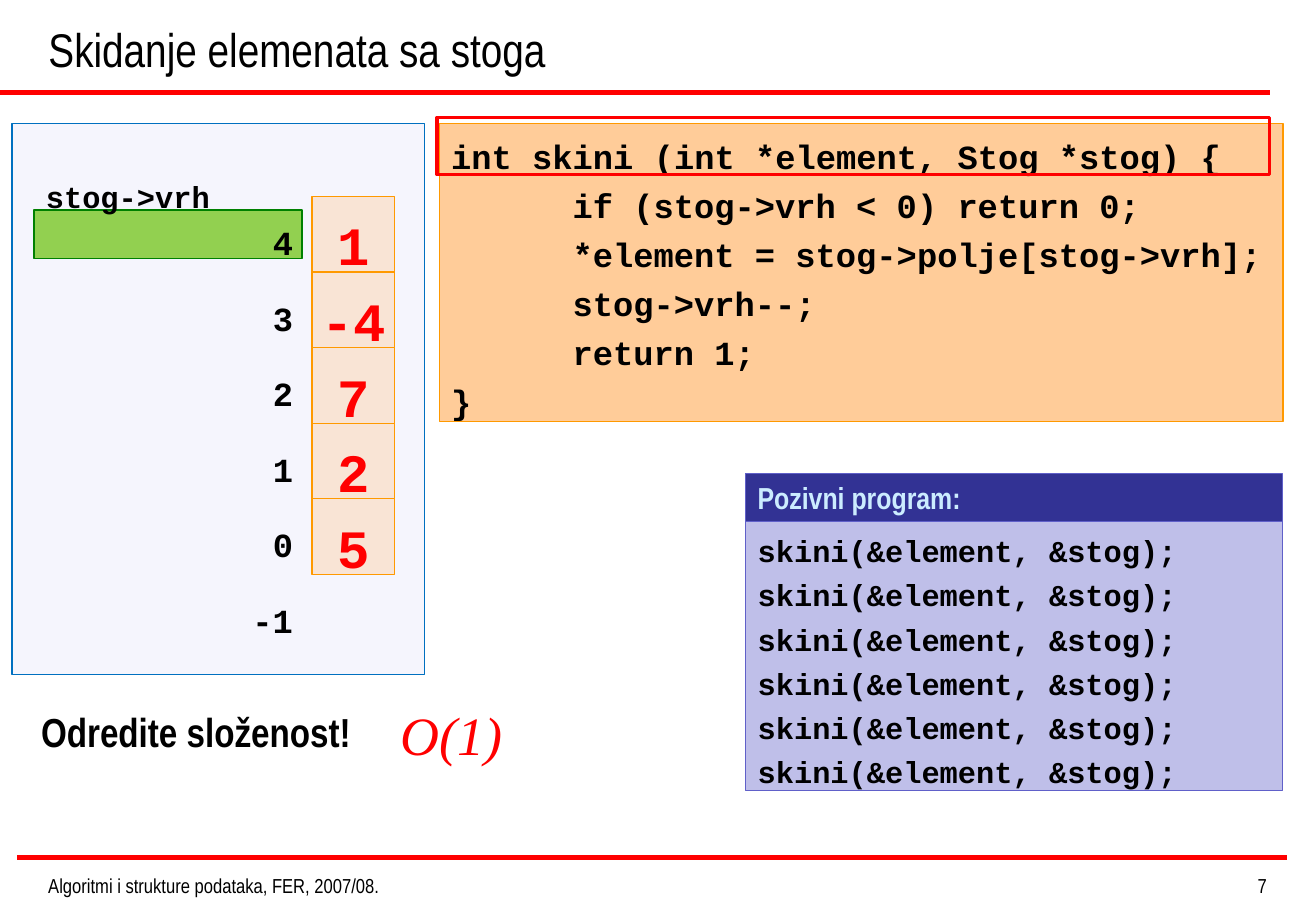
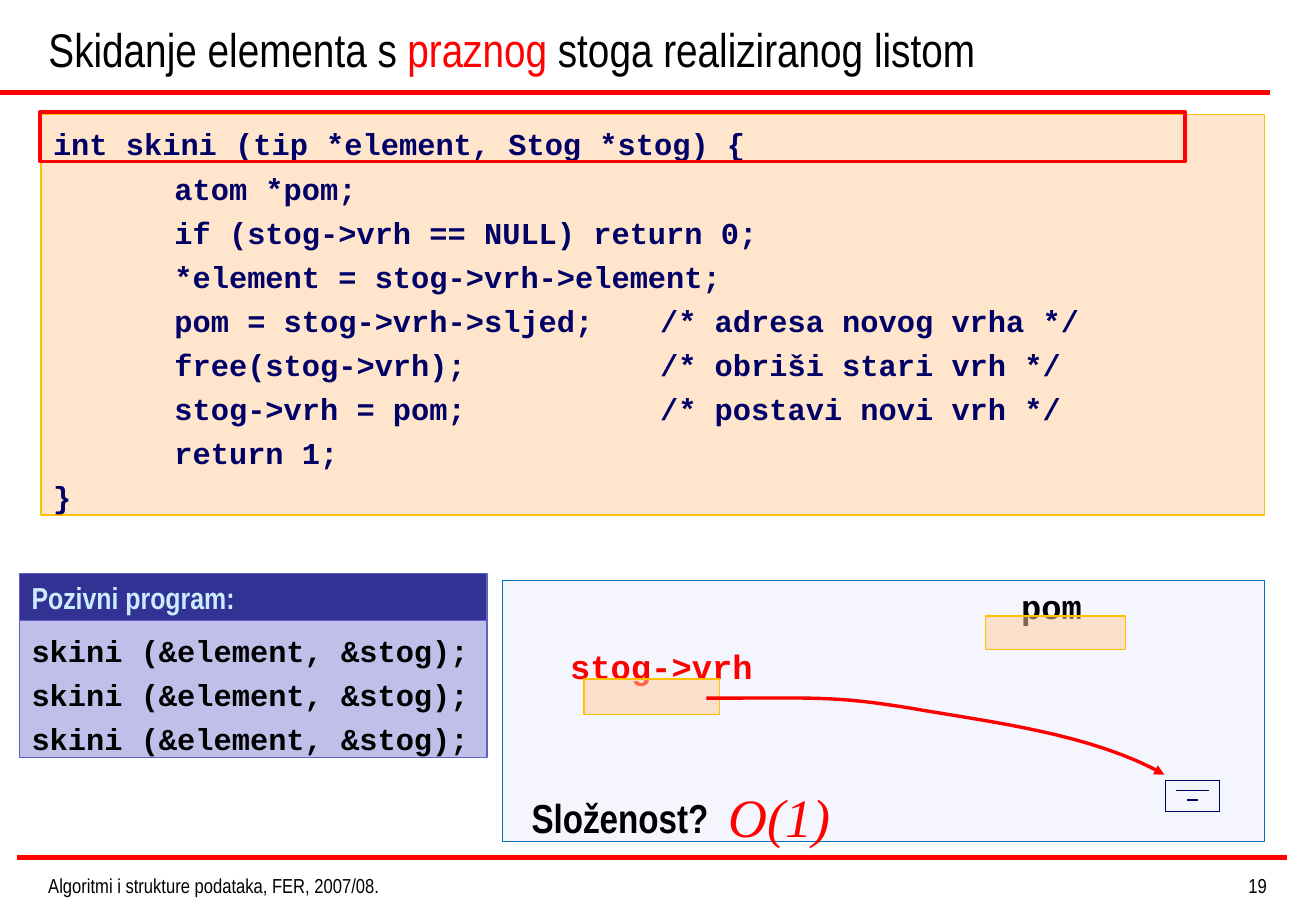
import pptx
import pptx.dml.color
import pptx.enum.shapes
import pptx.enum.text
import pptx.oxml.ns
import pptx.util
from lxml import etree

Cm = pptx.util.Cm
Pt = pptx.util.Pt
RGBColor = pptx.dml.color.RGBColor
ALIGN = pptx.enum.text.PP_ALIGN
ANCHOR = pptx.enum.text.MSO_ANCHOR
qn = pptx.oxml.ns.qn

BLACK = RGBColor(0x00, 0x00, 0x00)
RED = RGBColor(0xFF, 0x00, 0x00)
NAVY = RGBColor(0x00, 0x00, 0x66)
PEACH = RGBColor(0xFF, 0xCC, 0x99)
ORANGE = RGBColor(0xFF, 0x99, 0x00)
GOLD = RGBColor(0xFF, 0xC0, 0x00)
INDIGO = RGBColor(0x32, 0x32, 0x94)
VIOLET = RGBColor(0x60, 0x60, 0xC9)
PALE_CYAN = RGBColor(0xCC, 0xEC, 0xFF)
LAVENDER = RGBColor(0xE8, 0xE8, 0xFA)
BLUE = RGBColor(0x00, 0x70, 0xC0)
LIME = RGBColor(0x92, 0xD0, 0x50)
GREEN = RGBColor(0x00, 0x80, 0x00)

SANS = "Arial Narrow"
MONO = "Courier New"
SERIF = "Times New Roman"
TITLE_ONLY = 5
ROW = 1.58
FOOTER = "Algoritmi i strukture podataka, FER, 2007/08."

ARRAY_CODE = """int skini (int *element, Stog *stog) {
\tif (stog->vrh < 0) return 0;
\t*element = stog->polje[stog->vrh];
\tstog->vrh--;
\treturn 1;
}"""

LIST_CODE = """int skini (tip *element, Stog *stog) {
\tatom *pom;
\tif (stog->vrh == NULL) return 0;
\t*element = stog->vrh->element;
\tpom = stog->vrh->sljed;\t/* adresa novog vrha */
\tfree(stog->vrh);\t\t/* obriši stari vrh */
\tstog->vrh = pom;\t\t/* postavi novi vrh */
\treturn 1;
}"""


def lengths(values):
    return [Cm(value) for value in values]


def add_run(paragraph, text, font=SANS, size=18, color=BLACK, bold=False, italic=False):
    run = paragraph.add_run()
    run.text = text
    run.font.name = font
    run.font.size = Pt(size)
    run.font.color.rgb = color
    run.font.bold = bold
    run.font.italic = italic


def add_tab_stops(paragraph):
    properties = paragraph._p.get_or_add_pPr()
    tabs = etree.SubElement(properties, qn("a:tabLst"))
    for inch in range(1, 8):
        etree.SubElement(tabs, qn("a:tab"), pos=str(Cm(2.54 * inch)), algn="l")


def write(shape, text, font=SANS, size=18, align=ALIGN.LEFT, anchor=ANCHOR.TOP,
          lift=0.1, side=0.25, **style):
    mono = font == MONO
    frame = shape.text_frame
    frame.word_wrap = True
    frame.vertical_anchor = anchor
    frame.margin_left = frame.margin_right = Cm(side)
    frame.margin_top = Cm(0.13) + Pt(size * (0.17 if mono else lift))
    frame.margin_bottom = Cm(0.13)
    for index, line in enumerate(text.split("\n")):
        paragraph = frame.add_paragraph() if index else frame.paragraphs[0]
        if "\t" in line:
            add_tab_stops(paragraph)
        paragraph.alignment = align
        if mono:
            paragraph.line_spacing = Pt(1.2 * size)
        if index:
            paragraph.space_before = Pt(size / 4)
        add_run(paragraph, line, font, size, **style)


def add_text(slide, place, text, **style):
    write(slide.shapes.add_textbox(*lengths(place)), text, **style)


def add_box(slide, place, line, fill=None, opacity=100, width=0.75):
    rectangle = pptx.enum.shapes.MSO_SHAPE.RECTANGLE
    shape = slide.shapes.add_shape(rectangle, *lengths(place))
    shape.shadow.inherit = False
    shape.line.color.rgb = line
    shape.line.width = Pt(width)
    if fill is None:
        shape.fill.background()
        return shape
    shape.fill.solid()
    shape.fill.fore_color.rgb = fill
    if opacity < 100:
        color = shape.element.spPr.find(qn("a:solidFill"))[0]
        etree.SubElement(color, qn("a:alpha"), val=str(opacity * 1000))
    return shape


def add_line(slide, start_x, end_x, y, color, width):
    straight = pptx.enum.shapes.MSO_CONNECTOR.STRAIGHT
    line = slide.shapes.add_connector(straight, *lengths((start_x, y, end_x, y)))
    line.line.color.rgb = color
    line.line.width = Pt(width)
    etree.SubElement(line.element.spPr, qn("a:effectLst"))


def bezier_points(start, first, second, end, steps=16):
    for step in range(1, steps + 1):
        t = step / steps
        u = 1 - t
        yield tuple(
            Cm(u**3 * a + 3 * u * u * t * b + 3 * u * t * t * c + t**3 * d)
            for a, b, c, d in zip(start, first, second, end)
        )


def add_curved_arrow(slide, points, color, width):
    builder = slide.shapes.build_freeform(*lengths(points[0]), scale=1.0)
    for index in range(0, len(points) - 1, 3):
        builder.add_line_segments(bezier_points(*points[index:index + 4]), close=False)
    arrow = builder.convert_to_shape()
    arrow.shadow.inherit = False
    arrow.fill.background()
    arrow.line.color.rgb = color
    arrow.line.width = Pt(width)
    outline = arrow.element.spPr.find(qn("a:ln"))
    etree.SubElement(outline, qn("a:tailEnd"), type="triangle")


def add_slide(presentation, number, title_parts):
    slide = presentation.slides.add_slide(presentation.slide_layouts[TITLE_ONLY])
    add_line(slide, 0, 26.57, 1.93, RED, 3)
    add_line(slide, 0.36, 26.92, 17.93, RED, 3)
    title = slide.shapes.title
    title.left, title.top, title.width, title.height = lengths((0.76, 0, 25.81, 1.73))
    frame = title.text_frame
    frame.auto_size = pptx.enum.text.MSO_AUTO_SIZE.NONE
    frame.vertical_anchor = ANCHOR.BOTTOM
    frame.paragraphs[0].alignment = ALIGN.LEFT
    for text, color in title_parts:
        add_run(frame.paragraphs[0], text, size=28, color=color)
    add_text(slide, (0.76, 18.14, 9.6, 0.61), FOOTER, size=12, lift=0)
    add_text(slide, (19.71, 18.14, 7.04, 0.61), str(number), size=12, lift=0,
             align=ALIGN.RIGHT)
    return slide


def add_caller(slide, left, top, width, call, count):
    header_height = 0.99
    header = add_box(slide, (left, top, width, header_height), VIOLET, INDIGO)
    write(header, "Pozivni program:", color=PALE_CYAN, bold=True,
          anchor=ANCHOR.MIDDLE, lift=0)
    place = (left, top + header_height, width, 0.92 * count + 0.11)
    body = add_box(slide, place, VIOLET, VIOLET, 40)
    write(body, "\n".join([call] * count), font=MONO, bold=True)


def add_complexity(slide, question, question_place, answer_left, answer_top):
    add_text(slide, question_place, question, size=24, bold=True)
    add_text(slide, (answer_left, answer_top, 3.2, 1.63), "O(1)", font=SERIF,
             size=32, color=RED, italic=True)


def add_stack(slide, values):
    add_box(slide, (0.25, 2.59, 8.64, 11.51), BLUE, LAVENDER, 40)
    add_box(slide, (0.71, 4.39, 5.61, 1.02), GREEN, LIME)
    add_text(slide, (0.71, 3.48, 4.14, 1.02), "stog->vrh", font=MONO, bold=True)
    for row, value in enumerate(values):
        cell = add_box(slide, (6.53, 4.11 + ROW * row, 1.73, ROW), ORANGE, PEACH, 40)
        write(cell, value, font=MONO, size=32, color=RED, bold=True,
              align=ALIGN.CENTER, side=0)
    for row in range(len(values) + 1):
        add_text(slide, (4.88, 4.39 + ROW * row, 1.5, 1.12), str(len(values) - 1 - row),
                 font=MONO, size=20, bold=True, align=ALIGN.RIGHT)


def add_pointer(slide, label, label_place, box_place, color):
    add_text(slide, label_place, label, font=MONO, size=20, color=color, bold=True)
    add_box(slide, box_place, GOLD, PEACH, 50)


def add_null_sign(slide, left, top, width, height):
    for step in range(3):
        inset = 0.23 * step
        add_line(slide, left + inset, left + width - inset, top + 0.2 * step, NAVY, 0.75)
    add_box(slide, (left, top, width, height), NAVY)


def build_array_slide(presentation):
    slide = add_slide(presentation, 7, [("Skidanje elemenata sa stoga", BLACK)])
    code = add_box(slide, (9.19, 2.59, 17.65, 6.22), ORANGE, PEACH)
    write(code, ARRAY_CODE, font=MONO, size=20, bold=True)
    add_box(slide, (9.14, 2.46, 17.42, 1.19), RED, width=2)
    add_caller(slide, 15.6, 9.91, 11.23, "skini(&element, &stog);", 6)
    add_stack(slide, ["1", "-4", "7", "2", "5"])
    add_complexity(slide, "Odredite složenost!", (0.61, 14.58, 7.5, 1.27), 8.13, 14.43)


def build_list_slide(presentation):
    slide = add_slide(presentation, 19, [
        ("Skidanje elementa s ", BLACK),
        ("praznog", RED),
        (" stoga realiziranog listom", BLACK),
    ])
    code = add_box(slide, (0.86, 2.39, 25.6, 8.38), GOLD, PEACH, 50)
    write(code, LIST_CODE, font=MONO, color=NAVY, bold=True)
    add_box(slide, (0.84, 2.34, 23.95, 1.04), RED, width=2)
    add_caller(slide, 0.41, 11.99, 9.78, "skini (&element, &stog);", 3)
    add_box(slide, (10.52, 12.14, 15.93, 5.46), BLUE, LAVENDER, 40)
    add_pointer(slide, "stog->vrh", (11.68, 13.26, 4.6, 1.12),
                (12.22, 14.2, 2.84, 0.74), RED)
    add_pointer(slide, "pom", (21.11, 11.99, 2.24, 1.12),
                (20.62, 12.88, 2.92, 0.71), BLACK)
    add_null_sign(slide, 24.38, 16.33, 1.14, 0.64)
    add_curved_arrow(slide, [
        (14.78, 14.6), (17.09, 14.6), (17.45, 14.55), (19.05, 14.81),
        (20.65, 15.09), (22.86, 15.34), (24.36, 16.2),
    ], RED, 2)
    add_complexity(slide, "Složenost?", (10.87, 16.36, 4.78, 1.27), 14.99, 16.15)


def main():
    presentation = pptx.Presentation()
    presentation.slide_width = Cm(27.53)
    presentation.slide_height = Cm(19.05)
    build_array_slide(presentation)
    build_list_slide(presentation)
    presentation.save("out.pptx")


if __name__ == "__main__":
    main()
